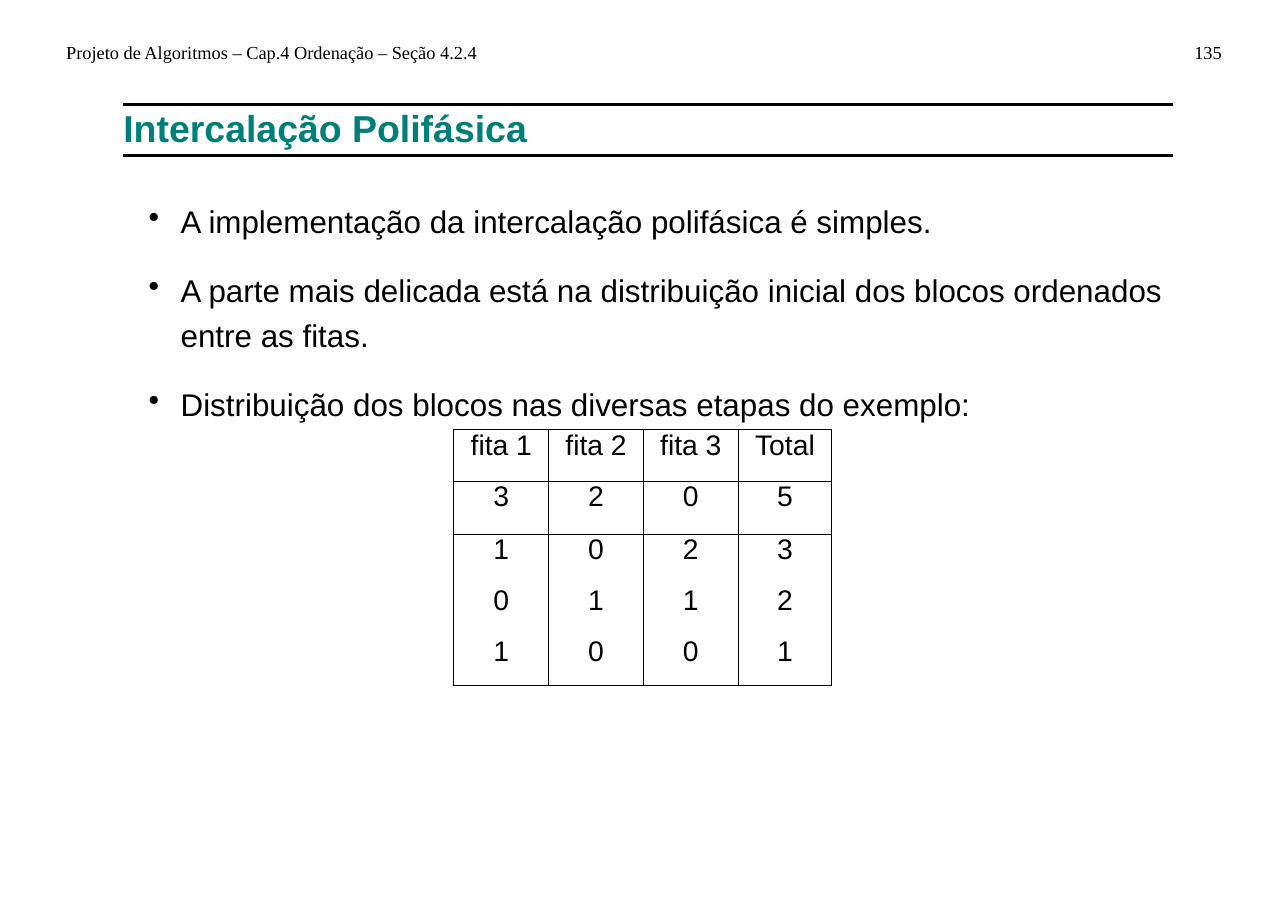
from lxml import etree
from pptx import Presentation
from pptx.dml.color import RGBColor
from pptx.enum import shapes, text
from pptx.oxml import ns
from pptx.util import Inches, Pt

BLACK = RGBColor(0x00, 0x00, 0x00)
TEAL = RGBColor(0x00, 0x7F, 0x7A)

HEAD = "Projeto de Algoritmos – Cap.4 Ordenação – Seção 4.2.4"
PAGE = "135"
TITLE = "Intercalação Polifásica"
POINTS = [
    "A implementação da intercalação polifásica é simples.",
    "A parte mais delicada está na distribuição inicial dos blocos ordenados entre as fitas.",
    "Distribuição dos blocos nas diversas etapas do exemplo:",
]
TAPES = [
    ("fita 1", "fita 2", "fita 3", "Total"),
    (3, 2, 0, 5),
    (1, 0, 2, 3),
    (0, 1, 1, 2),
    (1, 0, 0, 1),
]
COLS = [0.86, 0.86, 0.86, 0.85]
ROWS = [0.47, 0.48, 0.46, 0.46, 0.45]
RULED = {-1, 0, 1, 4}  # rows with a line below them; -1 is the table's top

LEFT, RIGHT = 1.12, 10.65
RULES = [0.95, 1.41]
SMALL = {"name": "Times New Roman", "size": Pt(12), "bold": False}
BIG = {"name": "Arial", "size": Pt(24.5), "bold": True}
BODY = {"name": "Arial", "size": Pt(20.5), "bold": False}
CELL = {"name": "Arial", "size": Pt(18.5), "bold": False}


def style(par, form, color=BLACK):
    for key, val in form.items():
        setattr(par.font, key, val)
    par.font.color.rgb = color


def add_text(slide, place, lines, form, color=BLACK, wrap=True, bullet=False):
    frame = slide.shapes.add_textbox(*map(Inches, place)).text_frame
    frame.word_wrap = wrap
    for side in ("left", "top", "right", "bottom"):
        setattr(frame, "margin_" + side, 0)
    for i, line in enumerate(lines):
        par = frame.add_paragraph() if i else frame.paragraphs[0]
        par.text = line
        if bullet:
            props = par._p.get_or_add_pPr()
            props.set("marL", str(Inches(0.53)))
            props.set("indent", str(-Inches(0.29)))
            etree.SubElement(props, ns.qn("a:buChar")).set("char", "•")
            par.line_spacing = 1.2
            if i:
                par.space_before = Pt(15.5)
        style(par, form, color)


def add_rule(slide, y):
    line = slide.shapes.add_connector(
        shapes.MSO_CONNECTOR.STRAIGHT,
        Inches(LEFT), Inches(y), Inches(RIGHT), Inches(y))
    line.line.color.rgb = BLACK
    line.line.width = Pt(1.73)
    etree.SubElement(line._element.spPr, ns.qn("a:effectLst"))


def add_edge(cell, side, drawn):
    edge = etree.SubElement(cell._tc.get_or_add_tcPr(), ns.qn("a:ln" + side))
    edge.set("w", str(Pt(0.69)))
    if drawn:
        fill = etree.SubElement(edge, ns.qn("a:solidFill"))
        etree.SubElement(fill, ns.qn("a:srgbClr")).set("val", str(BLACK))
    else:
        etree.SubElement(edge, ns.qn("a:noFill"))


def add_grid(slide, left, top):
    grid = slide.shapes.add_table(
        len(ROWS), len(COLS), Inches(left), Inches(top),
        Inches(sum(COLS)), Inches(sum(ROWS))).table
    grid.first_row = grid.horz_banding = False
    for col, width in zip(grid.columns, COLS):
        col.width = Inches(width)
    for r, vals in enumerate(TAPES):
        grid.rows[r].height = Inches(ROWS[r])
        for c, val in enumerate(vals):
            cell = grid.cell(r, c)
            for side in ("left", "top", "right", "bottom"):
                setattr(cell, "margin_" + side, 0)
            edges = {"L": True, "R": True, "T": r - 1 in RULED, "B": r in RULED}
            for side, drawn in edges.items():
                add_edge(cell, side, drawn)
            cell.fill.background()
            par = cell.text_frame.paragraphs[0]
            par.text = str(val)
            par.alignment = text.PP_ALIGN.CENTER
            style(par, CELL)


def main():
    deck = Presentation()
    deck.slide_width, deck.slide_height = Inches(11.69), Inches(8.26)
    slide = deck.slides.add_slide(deck.slide_layouts[6])
    add_text(slide, (0.6, 0.37, 3.79, 0.21), [HEAD], SMALL, wrap=False)
    add_text(slide, (10.84, 0.37, 0.28, 0.21), [PAGE], SMALL, wrap=False)
    for y in RULES:
        add_rule(slide, y)
    add_text(slide, (LEFT, 0.95, RIGHT - LEFT, 0.39), [TITLE], BIG, TEAL)
    add_text(slide, (1.11, 1.77, 9.54, 1.96), POINTS, BODY, bullet=True)
    add_grid(slide, 4.12, 3.9)
    deck.save("out.pptx")


if __name__ == "__main__":
    main()
